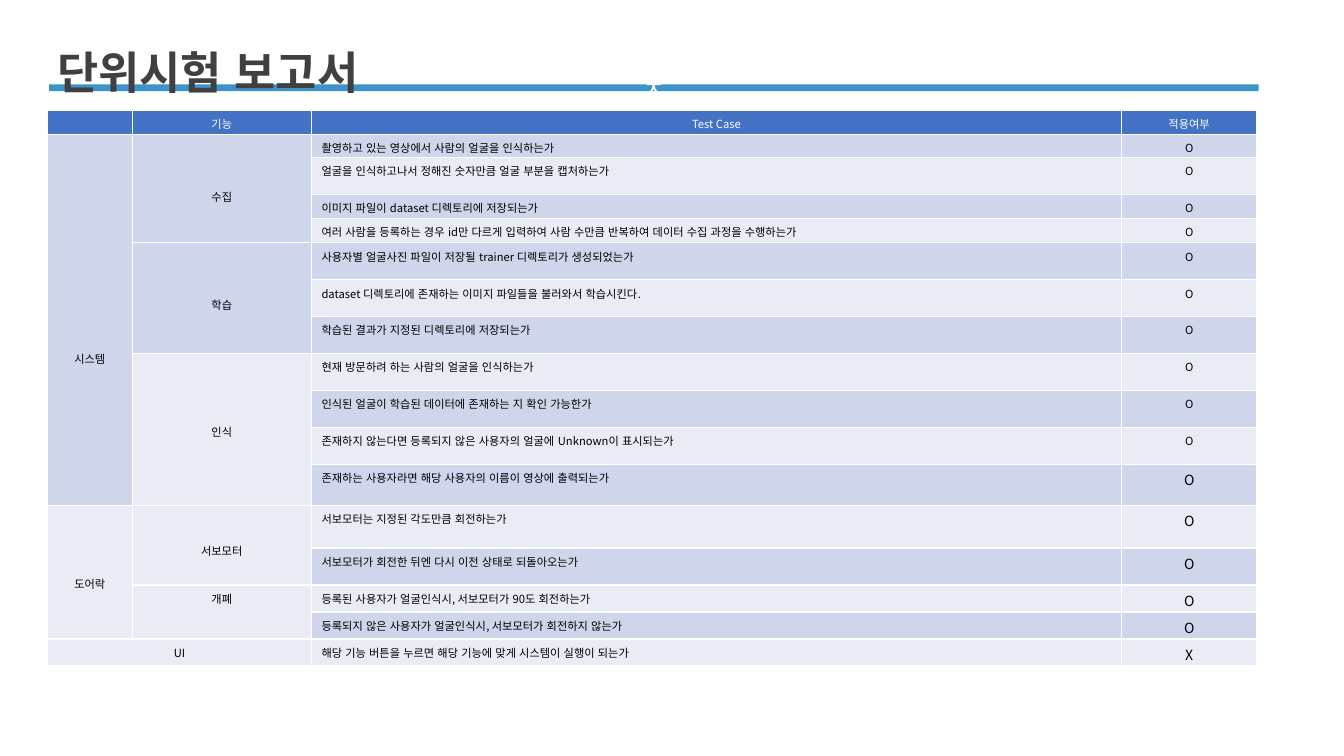
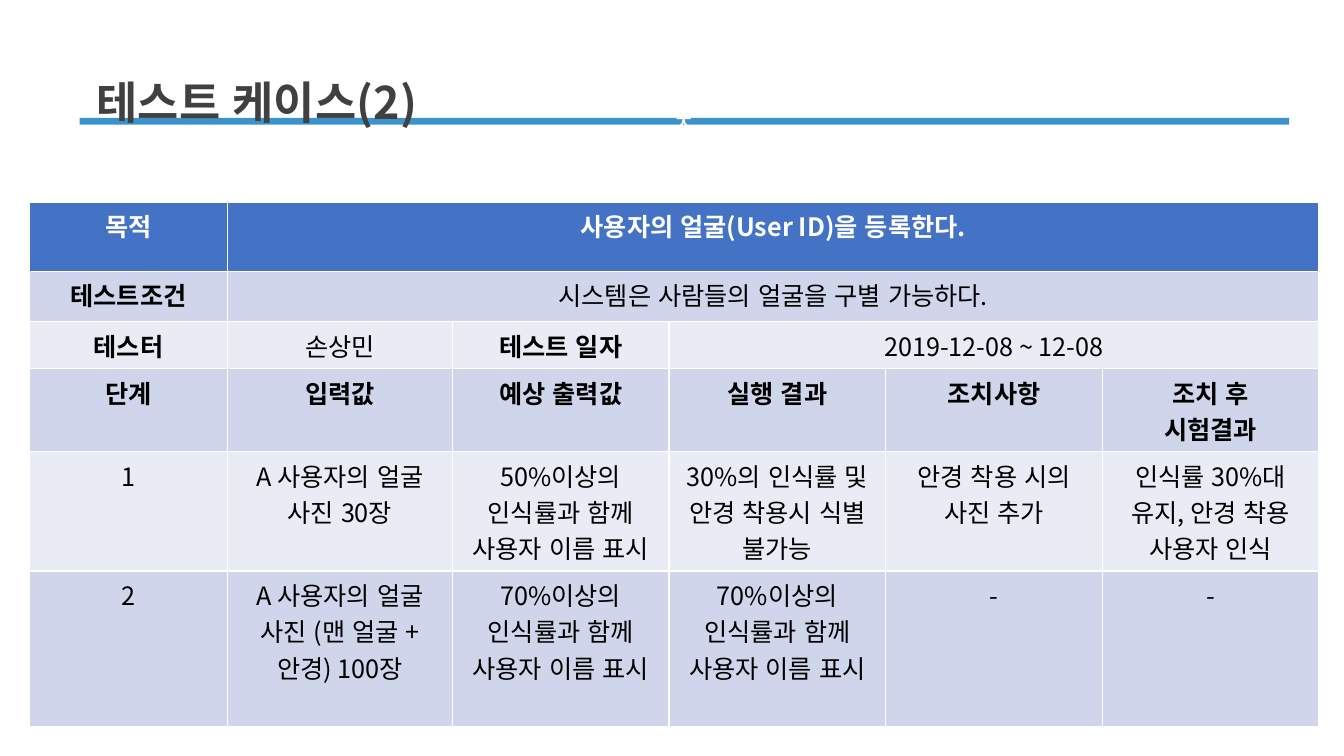
from dataclasses import dataclass, field

import pptx
import pptx.dml.color
import pptx.enum.lang
import pptx.enum.shapes
import pptx.enum.text
import pptx.oxml
import pptx.oxml.ns
import pptx.presentation
import pptx.shapes.autoshape
import pptx.slide
import pptx.table
import pptx.text.text
import pptx.util
from pptx.dml.color import RGBColor
from pptx.enum.text import MSO_ANCHOR, MSO_AUTO_SIZE, PP_ALIGN
from pptx.util import Cm, Pt

FONT = "Noto Sans CJK KR"
WHITE = RGBColor(0xFF, 0xFF, 0xFF)
BLACK = RGBColor(0x00, 0x00, 0x00)
TITLE_GRAY = RGBColor(0x40, 0x40, 0x40)
BAR_BLUE = RGBColor(0x3C, 0x92, 0xCA)
HEADER_BLUE = RGBColor(0x44, 0x72, 0xC4)
BAND_DARK = RGBColor(0xCF, 0xD5, 0xEA)
BAND_LIGHT = RGBColor(0xE9, 0xEB, 0xF5)

TITLE_ONLY_LAYOUT = 5
SMALL_LINE_CM = 0.41


@dataclass(frozen=True)
class Heading:
    text: str
    left: float
    top: float
    height: float
    bar_left: float
    bar_top: float


@dataclass(frozen=True)
class Span:
    """A merged block; lines_above pushes its label down by that many lines."""
    row: int
    column: int
    rows: int = 1
    columns: int = 1
    lines_above: int = 0


@dataclass(frozen=True)
class TableSpec:
    left: float
    top: float
    widths: list[float]
    heights: list[float]
    grid: list[tuple[str, ...]]
    spans: list[Span]
    size: float
    margin_bottom: float
    left_columns: set[int] = field(default_factory=set)
    bold_cells: set[tuple[int, int]] = field(default_factory=set)
    sizes: dict[tuple[int, int], float] = field(default_factory=dict)


UNIT_HEADING = Heading("단위시험 보고서", 1.19, 0.33, 2.31, 1.24, 2.13)
CASE_HEADING = Heading("테스트 케이스(2)", 2.18, 1.09, 2.03, 2.01, 2.97)

UNIT_TABLE = TableSpec(
    left=1.2,
    top=2.79,
    widths=[2.13, 4.52, 20.42, 3.4],
    heights=[0.59, 0.59, 0.93, 0.6, 0.62] + [0.93] * 6 + [1.03, 1.08, 0.93] + [0.68] * 3,
    grid=[
        ("", "기능", "Test Case", "적용여부"),
        ("시스템", "수집", "촬영하고 있는 영상에서 사람의 얼굴을 인식하는가", "O"),
        ("", "", "얼굴을 인식하고나서 정해진 숫자만큼 얼굴 부분을 캡처하는가", "O"),
        ("", "", "이미지 파일이 dataset 디렉토리에 저장되는가", "O"),
        ("", "", "여러 사람을 등록하는 경우 id만 다르게 입력하여 사람 수만큼 "
                 "반복하여 데이터 수집 과정을 수행하는가", "O"),
        ("", "학습", "사용자별 얼굴사진 파일이 저장될 trainer 디렉토리가 생성되었는가", "O"),
        ("", "", "dataset 디렉토리에 존재하는 이미지 파일들을 불러와서 학습시킨다.", "O"),
        ("", "", "학습된 결과가 지정된 디렉토리에 저장되는가", "O"),
        ("", "인식", "현재 방문하려 하는 사람의 얼굴을 인식하는가", "O"),
        ("", "", "인식된 얼굴이 학습된 데이터에 존재하는 지 확인 가능한가", "O"),
        ("", "", "존재하지 않는다면 등록되지 않은 사용자의 얼굴에 Unknown이 표시되는가", "O"),
        ("", "", "존재하는 사용자라면 해당 사용자의 이름이 영상에 출력되는가", "O"),
        ("도어락", "서보모터", "서보모터는 지정된 각도만큼 회전하는가", "O"),
        ("", "", "서보모터가 회전한 뒤엔 다시 이전 상태로 되돌아오는가", "O"),
        ("", "개폐", "등록된 사용자가 얼굴인식시, 서보모터가 90도 회전하는가", "O"),
        ("", "", "등록되지 않은 사용자가 얼굴인식시, 서보모터가 회전하지 않는가", "O"),
        ("UI", "", "해당 기능 버튼을 누르면 해당 기능에 맞게 시스템이 실행이 되는가", "X"),
    ],
    spans=[
        Span(1, 0, rows=11, lines_above=13),
        Span(1, 1, rows=4, lines_above=3),
        Span(5, 1, rows=3, lines_above=3),
        Span(8, 1, rows=4, lines_above=4),
        Span(12, 0, rows=4, lines_above=4),
        Span(12, 1, rows=2, lines_above=2),
        Span(14, 1, rows=2),
        Span(16, 0, columns=2),
    ],
    size=8,
    margin_bottom=0.05,
    left_columns={2},
    sizes={(row, 3): 10 for row in range(11, 17)},
)

CASE_TABLE = TableSpec(
    left=0.75,
    top=5.09,
    widths=[4.98, 5.67] + [5.46] * 4,
    heights=[1.75, 1.27, 1.18, 2.09, 3.01, 3.91],
    grid=[
        ("목적", "사용자의 얼굴(User ID)을 등록한다.", "", "", "", ""),
        ("테스트조건", "시스템은 사람들의 얼굴을 구별 가능하다.", "", "", "", ""),
        ("테스터", "손상민", "테스트 일자", "2019-12-08 ~ 12-08", "", ""),
        ("단계", "입력값", "예상 출력값", "실행 결과", "조치사항", "조치 후\n시험결과"),
        ("1", "A 사용자의 얼굴 사진 30장", "50%이상의 인식률과 함께 사용자 이름 표시",
         "30%의 인식률 및 안경 착용시 식별 불가능", "안경 착용 시의 사진 추가",
         "인식률 30%대 유지, 안경 착용 사용자 인식"),
        ("2", "A 사용자의 얼굴 사진 (맨 얼굴 + 안경) 100장",
         "70%이상의 인식률과 함께 사용자 이름 표시",
         "70%이상의 인식률과 함께 사용자 이름 표시", "-", "-"),
    ],
    spans=[Span(0, 1, columns=5), Span(1, 1, columns=5), Span(2, 3, columns=3)],
    size=18,
    margin_bottom=0.13,
    bold_cells={(0, 0), (0, 1), (1, 0), (2, 0), (2, 2)} | {(3, column) for column in range(6)},
)


def write_text(
    frame: pptx.text.text.TextFrame,
    text: str,
    *,
    size: float,
    color: RGBColor,
    bold: bool = False,
    align: PP_ALIGN = PP_ALIGN.CENTER,
    line_spacing: float = 1.0,
) -> None:
    frame.text = text
    for paragraph in frame.paragraphs:
        paragraph.alignment = align
        paragraph.line_spacing = line_spacing
        if not paragraph.runs:
            # An empty cell would otherwise take the default size and stretch its row.
            paragraph._p.get_or_add_endParaRPr().set("sz", str(int(size * 100)))
        for run in paragraph.runs:
            font = run.font
            font.size = Pt(size)
            font.bold = bold
            font.name = FONT
            font.color.rgb = color
            font.language_id = pptx.enum.lang.MSO_LANGUAGE_ID.KOREAN
            east_asian = pptx.oxml.parse_xml(
                f'<a:ea {pptx.oxml.ns.nsdecls("a")} typeface="{FONT}"/>'
            )
            font._element.find(pptx.oxml.ns.qn("a:latin")).addnext(east_asian)


def add_heading(slide: pptx.slide.Slide, heading: Heading) -> None:
    bar = slide.shapes.add_shape(
        pptx.enum.shapes.MSO_SHAPE.RECTANGLE,
        Cm(heading.bar_left), Cm(heading.bar_top), Cm(30.48), Cm(0.17),
    )
    bar.shadow.inherit = False
    bar.fill.solid()
    bar.fill.fore_color.rgb = BAR_BLUE
    bar.line.fill.background()
    bar.text_frame.vertical_anchor = MSO_ANCHOR.MIDDLE
    write_text(bar.text_frame, "ㅊ", size=18, color=WHITE)

    title = slide.shapes.title
    title.left, title.top = Cm(heading.left), Cm(heading.top)
    title.width, title.height = Cm(27.86), Cm(heading.height)
    frame = title.text_frame
    frame.word_wrap = True
    frame.vertical_anchor = MSO_ANCHOR.TOP
    frame.auto_size = MSO_AUTO_SIZE.SHAPE_TO_FIT_TEXT
    write_text(frame, heading.text, size=32, color=TITLE_GRAY, bold=True,
               align=PP_ALIGN.LEFT, line_spacing=1.5)
    bar._element.addnext(title._element)


def row_fill(row: int) -> RGBColor:
    if row == 0:
        return HEADER_BLUE
    return BAND_DARK if row % 2 else BAND_LIGHT


def add_table(slide: pptx.slide.Slide, spec: TableSpec) -> None:
    table = slide.shapes.add_table(
        len(spec.heights), len(spec.widths), Cm(spec.left), Cm(spec.top),
        Cm(sum(spec.widths)), Cm(sum(spec.heights)),
    ).table
    for column, width in zip(table.columns, spec.widths):
        column.width = Cm(width)
    for row, height in zip(table.rows, spec.heights):
        row.height = Cm(height)

    for row, texts in enumerate(spec.grid):
        for column, text in enumerate(texts):
            place = (row, column)
            cell = table.cell(row, column)
            cell.fill.solid()
            cell.fill.fore_color.rgb = row_fill(row)
            cell.margin_top, cell.margin_bottom = Cm(0.13), Cm(spec.margin_bottom)
            is_left = row > 0 and column in spec.left_columns
            write_text(
                cell.text_frame, text,
                size=spec.sizes.get(place, spec.size),
                color=BLACK if row else WHITE,
                bold=place in spec.bold_cells,
                align=PP_ALIGN.LEFT if is_left else PP_ALIGN.CENTER,
            )

    for span in spec.spans:
        cell = table.cell(span.row, span.column)
        cell.merge(table.cell(span.row + span.rows - 1, span.column + span.columns - 1))
        cell.margin_top = Cm(0.13 + span.lines_above * SMALL_LINE_CM)


def main() -> None:
    deck = pptx.Presentation()
    deck.slide_width, deck.slide_height = Cm(33.87), Cm(19.05)
    for heading, spec in ((UNIT_HEADING, UNIT_TABLE), (CASE_HEADING, CASE_TABLE)):
        slide = deck.slides.add_slide(deck.slide_layouts[TITLE_ONLY_LAYOUT])
        add_heading(slide, heading)
        add_table(slide, spec)
    deck.save("out.pptx")


if __name__ == "__main__":
    main()
